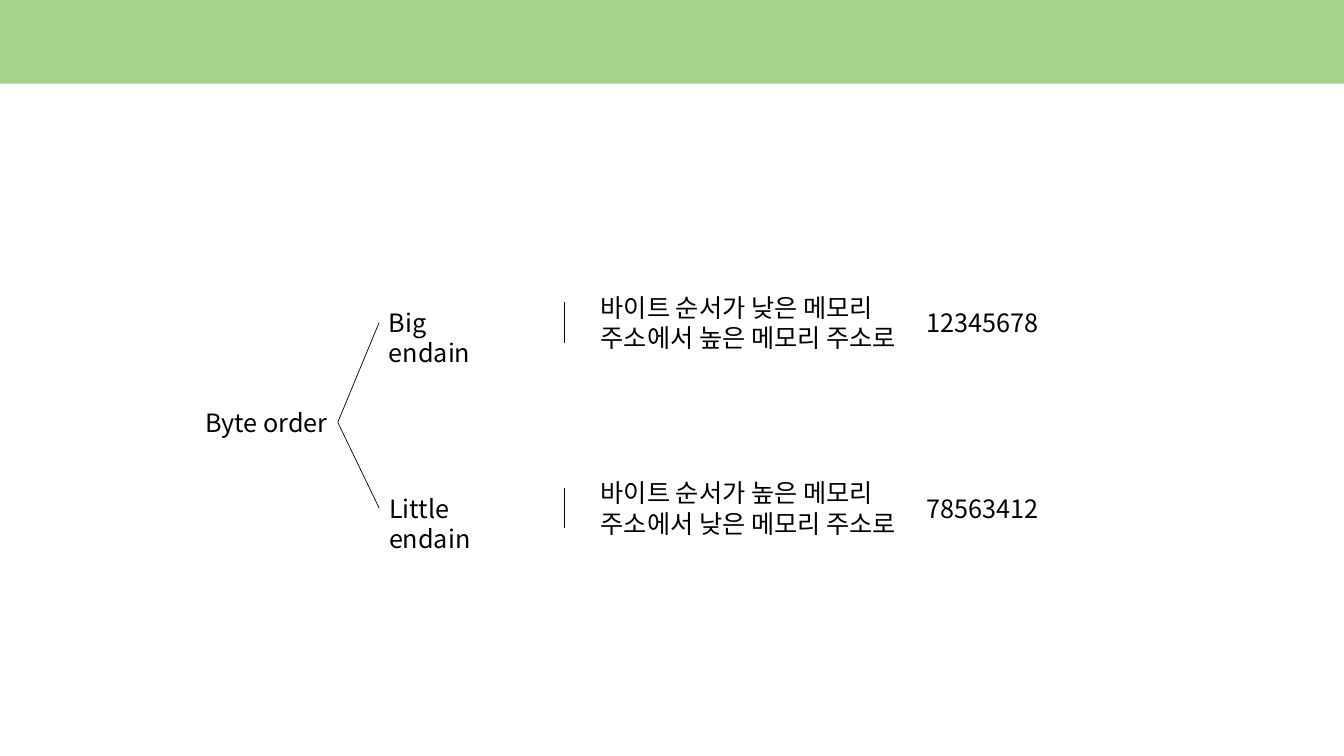
from dataclasses import dataclass

from lxml import etree
from pptx import Presentation
from pptx import util as u
from pptx.dml.color import RGBColor
from pptx.enum import shapes, text
from pptx.oxml.ns import qn


@dataclass(frozen=True)
class Theme:
    band: RGBColor = RGBColor.from_string("A9D18E")
    paper: RGBColor = RGBColor.from_string("FFFFFF")
    ink: RGBColor = RGBColor.from_string("000000")
    font: str = "Noto Sans CJK KR"
    size: u.Pt = u.Pt(18)
    line: u.Pt = u.Pt(0.5)


theme = Theme()
deck = Presentation()
deck.slide_width, deck.slide_height = u.Inches(13.33), u.Inches(7.5)
page = deck.slides.add_slide(deck.slide_layouts[6])
page.background.fill.solid()
page.background.fill.fore_color.rgb = theme.band


def add_label(words, left, top, width, height=0.4):
    box = page.shapes.add_textbox(*map(u.Inches, (left, top, width, height)))
    frame = box.text_frame
    frame.word_wrap = True
    frame.auto_size = text.MSO_AUTO_SIZE.SHAPE_TO_FIT_TEXT
    span = frame.paragraphs[0].add_run()
    span.text = words
    for name, value in {"name": theme.font, "size": theme.size}.items():
        setattr(span.font, name, value)
    span.font.color.rgb = theme.ink
    # Hangul takes its typeface from the East Asian font slot
    etree.SubElement(span.font._element, qn("a:ea"), typeface=theme.font)
    return box


def add_line(x1, y1, x2, y2):
    line = page.shapes.add_connector(
        shapes.MSO_CONNECTOR.STRAIGHT, *map(u.Inches, (x1, y1, x2, y2)))
    line.line.color.rgb = theme.ink
    line.line.width = theme.line
    etree.SubElement(line._element.spPr, qn("a:effectLst"))
    return line


body = page.shapes.add_shape(
    shapes.MSO_SHAPE.RECTANGLE, *map(u.Inches, (0, 0.83, 13.33, 6.67)))
body.shadow.inherit = False
body.fill.solid()
body.fill.fore_color.rgb = theme.paper
body.line.fill.background()

root = add_label("Byte order", 1.94, 3.99, 1.41)

# top, name, name width, meaning, meaning width, bytes as stored
orders = [
    (3.0, "Big endain", 1.4,
     "바이트 순서가 낮은 메모리 주소에서 높은 메모리 주소로", 3.35, "12345678"),
    (4.84, "Little endain", 1.62,
     "바이트 순서가 높은 메모리 주소에서 낮은 메모리 주소로", 3.24, "78563412"),
]
for top, name, name_width, meaning, meaning_width, stored in orders:
    branch = add_label(name, 3.76, top, name_width)
    link = add_line(3.35, 4.19, 3.76, top + 0.2)
    link.begin_connect(root, 3)
    link.end_connect(branch, 1)
    add_label(meaning, 5.86, top - 0.15, meaning_width, 0.71)
    add_line(5.6, top, 5.6, top + 0.4)
    add_label(stored, 9.09, top, 1.41)

deck.save("out.pptx")
